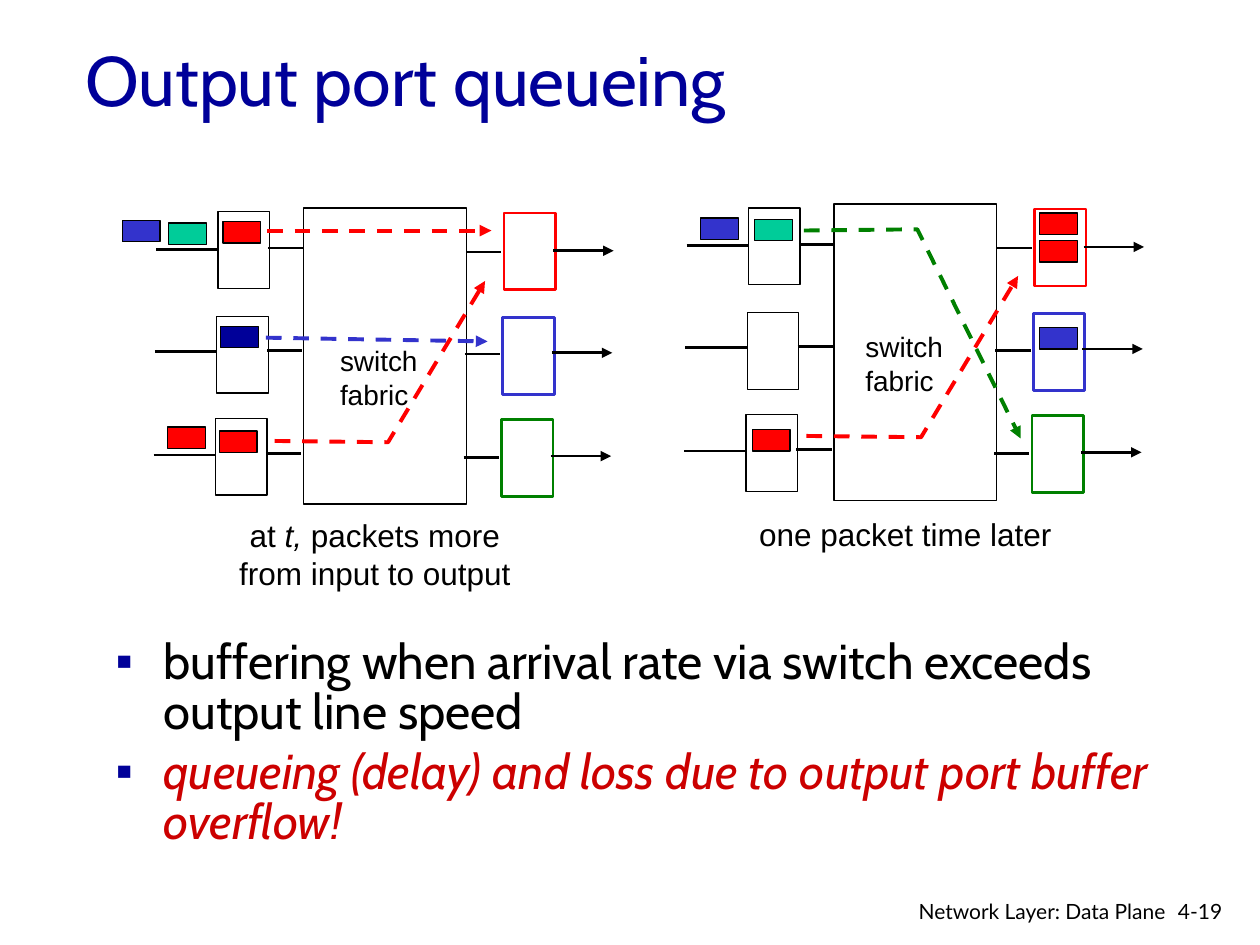
from lxml import etree
from pptx import Presentation
from pptx.dml.color import RGBColor
from pptx.enum.dml import MSO_LINE
from pptx.enum.shapes import MSO_CONNECTOR, MSO_SHAPE
from pptx.enum.text import MSO_ANCHOR, PP_ALIGN
from pptx.oxml.ns import qn
from pptx.util import Inches, Pt

BLACK, WHITE, RED, BLUE = "000000", "FFFFFF", "FF0000", "3333CC"
NAVY, GREEN, TEAL, CRIMSON = "000099", "008000", "00CC99", "CC0000"

# Per row: port drop, wire drop, leftward shift, output port colour
ROWS = [(0, 0, 0, RED), (0.83, 0.81, 0.01, BLUE), (1.64, 1.63, 0.02, GREEN)]
# Wires of a row, measured from the fabric corner: start, end, height, arrow
WIRES = [(-1.17, -0.68, 0.33, False), (-0.28, 0, 0.32, False),
         (1.29, 1.57, 0.35, False), (1.98, 2.46, 0.34, True)]
FABRICS = [(2.41, 1.65), (6.62, 1.62)]

PACKETS = [
    (1.77, 1.76, RED), (1.75, 2.59, NAVY), (1.74, 3.42, RED),
    (0.97, 1.75, BLUE), (1.34, 1.77, TEAL), (1.33, 3.39, RED),
    (8.25, 1.69, RED), (8.25, 1.91, RED), (8.25, 2.6, BLUE),
    (5.56, 1.73, BLUE), (5.99, 1.74, TEAL), (5.97, 3.41, RED),
]
FLOWS = [
    (RED, [(2.12, 1.83), (3.9, 1.83)]),
    (BLUE, [(2.11, 2.68), (3.87, 2.71)]),
    (RED, [(2.18, 3.5), (3.08, 3.51), (3.85, 2.23)]),
    (RED, [(6.4, 3.46), (7.31, 3.47), (8.08, 2.19)]),
    (GREEN, [(6.38, 1.83), (7.28, 1.82), (8.1, 3.48)]),
]


def rgb(color):
    return RGBColor.from_string(color)


def style_line(shape, color, width):
    shape.line.color.rgb = rgb(color)
    shape.line.width = Pt(width)


def add_arrowhead(shape):
    line = shape._element.spPr.find(qn("a:ln"))
    etree.SubElement(line, qn("a:tailEnd"), type="triangle")


def add_box(slide, left, top, width, height, fill, line_color=BLACK, line_width=0.75):
    box = slide.shapes.add_shape(MSO_SHAPE.RECTANGLE, Inches(left), Inches(top),
                                 Inches(width), Inches(height))
    box.shadow.inherit = False
    box.fill.solid()
    box.fill.fore_color.rgb = rgb(fill)
    style_line(box, line_color, line_width)


def add_wire(slide, start, end, color=BLACK, width=1.5):
    wire = slide.shapes.add_connector(MSO_CONNECTOR.STRAIGHT,
                                      *(Inches(value) for value in (*start, *end)))
    etree.SubElement(wire._element.spPr, qn("a:effectLst"))
    style_line(wire, color, width)
    return wire


def add_flow(slide, color, points):
    """Draw the dashed route of a packet through the fabric."""
    if len(points) == 2:
        flow = add_wire(slide, *points, color, 2.25)
    else:
        start, *bends = [(Inches(x), Inches(y)) for x, y in points]
        builder = slide.shapes.build_freeform(*start)
        builder.add_line_segments(bends, close=False)
        flow = builder.convert_to_shape()
        flow.shadow.inherit = False
        flow.fill.background()
        style_line(flow, color, 2.25)
    flow.line.dash_style = MSO_LINE.DASH
    add_arrowhead(flow)


def add_text(slide, left, top, width, height, paragraphs, size, font,
             color=BLACK, align=PP_ALIGN.LEFT, wrap=True):
    """Each paragraph is a list of (text, italic) runs."""
    box = slide.shapes.add_textbox(Inches(left), Inches(top), Inches(width), Inches(height))
    frame = box.text_frame
    frame.word_wrap = wrap
    for index, runs in enumerate(paragraphs):
        paragraph = frame.paragraphs[0] if index == 0 else frame.add_paragraph()
        paragraph.alignment = align
        for text, italic in runs:
            run = paragraph.add_run()
            run.text = text
            run.font.size = Pt(size)
            run.font.name = font
            run.font.italic = italic
            run.font.color.rgb = rgb(color)
    return frame


def add_bullet(paragraph):
    paragraph.line_spacing = 0.85
    paragraph.space_before = Pt(5.6)
    properties = paragraph._p.get_or_add_pPr()
    properties.set("marL", str(Inches(0.38)))
    properties.set("indent", str(-Inches(0.38)))
    bullet_color = etree.SubElement(properties, qn("a:buClr"))
    etree.SubElement(bullet_color, qn("a:srgbClr"), val=NAVY)
    etree.SubElement(properties, qn("a:buFont"), typeface="Arial")
    etree.SubElement(properties, qn("a:buChar"), char="▪")


def add_switch(slide, left, top):
    """Draw a fabric with three input ports, three output ports and their wires."""
    add_box(slide, left, top, 1.29, 2.35, WHITE)
    for port_drop, wire_drop, shift, output_color in ROWS:
        add_box(slide, left - 0.68 - shift, top + 0.03 + port_drop, 0.41, 0.61, WHITE)
        add_box(slide, left + 1.59 - shift, top + 0.04 + port_drop, 0.41, 0.61,
                WHITE, output_color, 1.5)
        for start, end, height, has_arrow in WIRES:
            y = top + height + wire_drop
            wire = add_wire(slide, (left + start - shift, y), (left + end - shift, y))
            if has_arrow:
                add_arrowhead(wire)


def main():
    deck = Presentation()
    deck.slide_width, deck.slide_height = Inches(10), Inches(7.5)
    slide = deck.slides.add_slide(deck.slide_layouts[6])

    title = add_text(slide, 0.58, 0.22, 8.5, 0.8, [[("Output port queueing", False)]],
                     40, "Cabin", NAVY)
    title.vertical_anchor = MSO_ANCHOR.MIDDLE

    points = add_text(slide, 0.82, 5.03, 8.5, 1.3, [
        [("buffering when arrival rate via switch exceeds output line speed", False)],
        [("queueing (delay) and loss due to output port buffer overflow!", True)],
    ], 28, "Cabin")
    points.paragraphs[1].runs[0].font.color.rgb = rgb(CRIMSON)
    for paragraph in points.paragraphs:
        add_bullet(paragraph)

    for left, top in FABRICS:
        add_switch(slide, left, top)
    for left, top, color in PACKETS:
        add_box(slide, left, top, 0.3, 0.17, color)
    for left, top in [(2.6, 2.68), (6.77, 2.57)]:
        add_text(slide, left, top, 0.82, 0.64,
                 [[("switch", False)], [("fabric", False)]], 16, "Arial", wrap=False)
    for color, route in FLOWS:
        add_flow(slide, color, route)

    add_text(slide, 1.63, 4.05, 2.69, 0.7, [
        [("at ", False), ("t,", True), (" packets more", False)],
        [("from input to output", False)],
    ], 18, "Arial", align=PP_ALIGN.CENTER)
    add_text(slide, 5.84, 4.04, 2.69, 0.4, [[("one packet time later", False)]],
             18, "Arial", align=PP_ALIGN.CENTER)

    add_text(slide, 9.25, 7.08, 0.61, 0.3, [[("4-19", False)]], 12, "Lato")
    add_text(slide, 6.97, 7.08, 2.38, 0.26, [[("Network Layer: Data Plane", False)]],
             12, "Lato", align=PP_ALIGN.RIGHT)
    deck.save("out.pptx")


if __name__ == "__main__":
    main()
